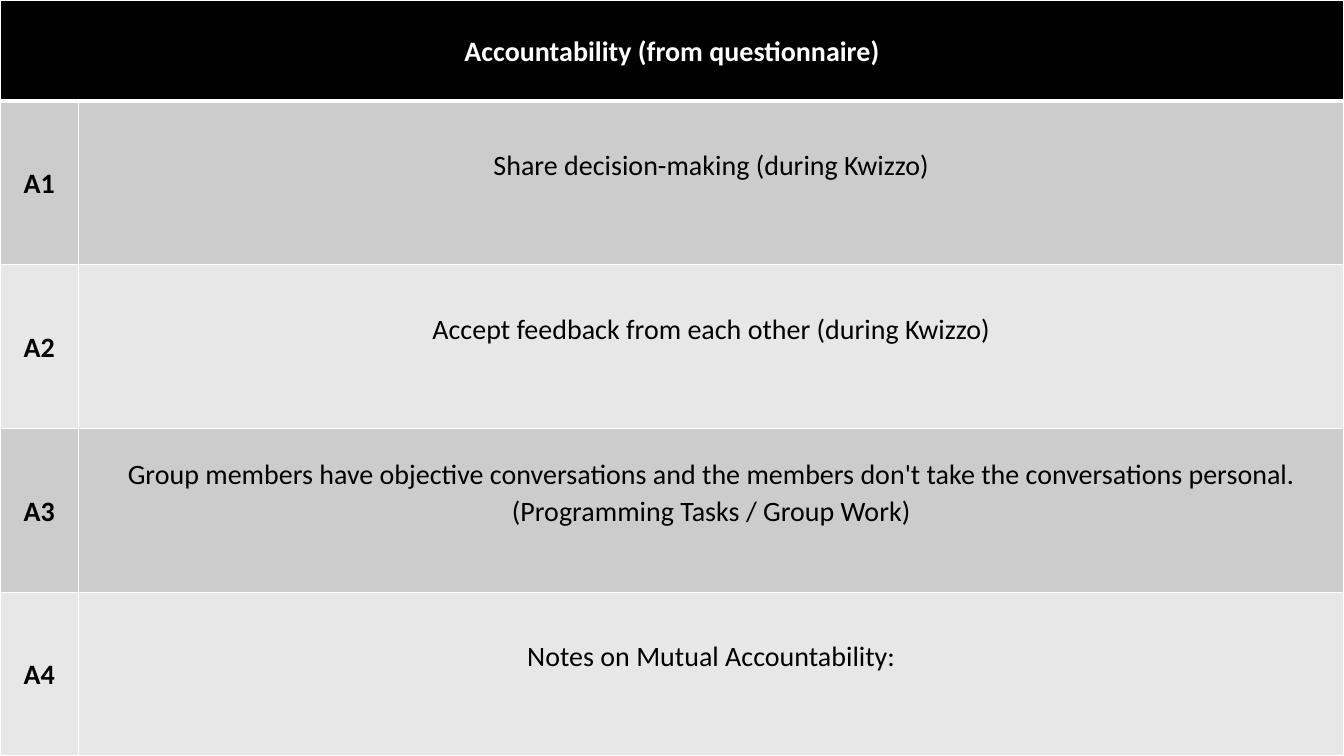
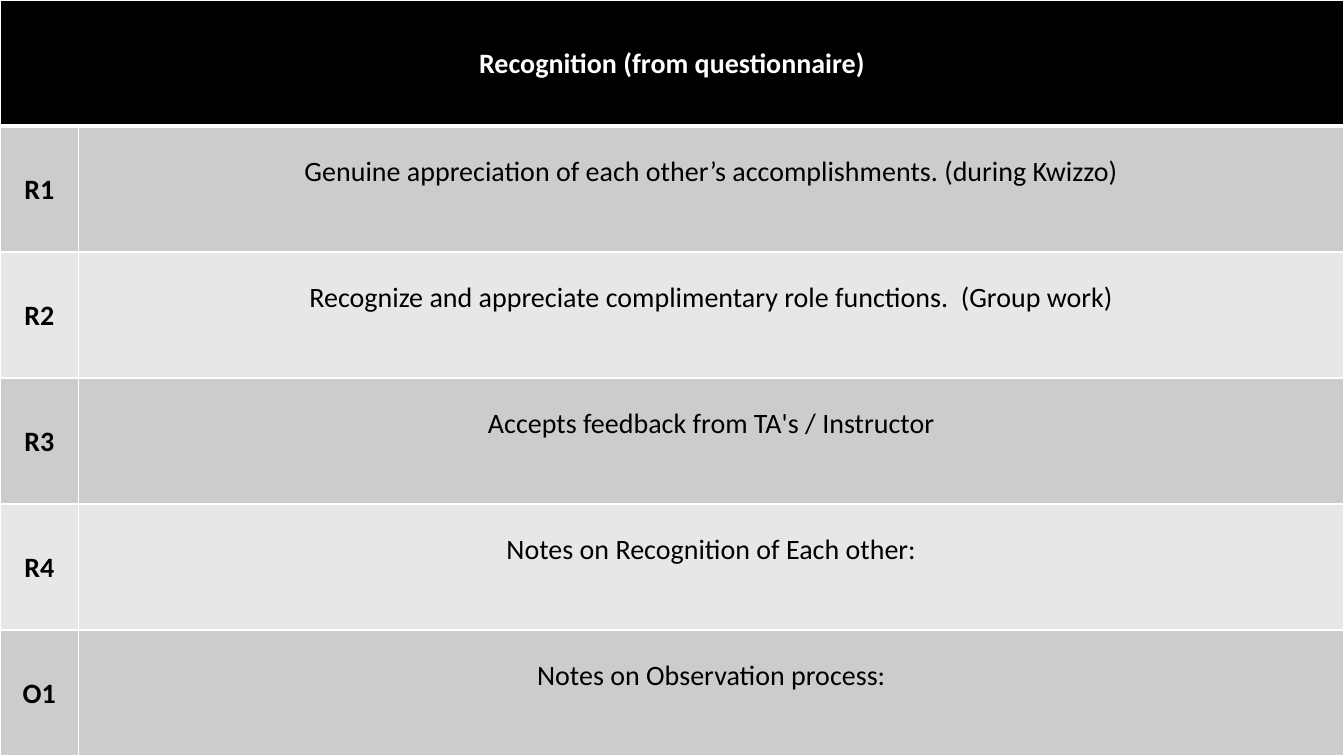
from lxml import etree
from pptx import Presentation
from pptx.dml.color import RGBColor
from pptx.enum.text import MSO_ANCHOR, PP_ALIGN
from pptx.oxml.ns import qn
from pptx.util import Cm, Pt

MIDDLE = MSO_ANCHOR.MIDDLE
CENTER = PP_ALIGN.CENTER

BLACK = RGBColor(0x00, 0x00, 0x00)
WHITE = RGBColor(0xFF, 0xFF, 0xFF)
BANDS = (RGBColor(0xCC, 0xCC, 0xCC), RGBColor(0xE7, 0xE7, 0xE7))

FONT = "Calibri"
TEXT_SIZE = Pt(20)
LINE_SPACING = 1.07
PAGE_WIDTH = Cm(33.87)
PAGE_HEIGHT = Cm(19.05)
CODE_WIDTH = Cm(1.98)
INSET = Cm(0.18)
ITEM_BOTTOM_INSET = Cm(1.09)
GRID_LINE = Pt(1)
HEADER_LINE = Pt(3)
BLANK_LAYOUT = 6

ACCOUNTABILITY = (
    ("A1", "Share decision-making (during Kwizzo)"),
    ("A2", "Accept feedback from each other (during Kwizzo)"),
    ("A3", "Group members have objective conversations and the members don't "
           "take the conversations personal. (Programming Tasks / Group Work)"),
    ("A4", "Notes on Mutual Accountability:"),
)
RECOGNITION = (
    ("R1", "Genuine appreciation of each other’s accomplishments. (during Kwizzo)"),
    ("R2", "Recognize and appreciate complimentary role functions.  (Group work)"),
    ("R3", "Accepts feedback from TA's / Instructor"),
    ("R4", "Notes on Recognition of Each other:"),
    ("O1", "Notes on Observation process:"),
)


def set_borders(cell, top=GRID_LINE, bottom=GRID_LINE):
    properties = cell._tc.get_or_add_tcPr()
    widths = (("a:lnL", GRID_LINE), ("a:lnR", GRID_LINE), ("a:lnT", top), ("a:lnB", bottom))
    for position, (tag, width) in enumerate(widths):
        line = etree.Element(qn(tag), w=str(int(width)))
        fill = etree.SubElement(line, qn("a:solidFill"))
        etree.SubElement(fill, qn("a:srgbClr"), val=str(WHITE))
        properties.insert(position, line)


def fill_cell(cell, text, fill, color=BLACK, bold=True, bottom_inset=INSET):
    cell.fill.solid()
    cell.fill.fore_color.rgb = fill
    cell.vertical_anchor = MIDDLE
    cell.margin_left = cell.margin_right = cell.margin_top = INSET
    cell.margin_bottom = bottom_inset
    cell.text_frame.text = text
    para = cell.text_frame.paragraphs[0]
    para.alignment = CENTER
    para.line_spacing = LINE_SPACING
    para.font.size = TEXT_SIZE
    for span in para.runs:
        span.font.name = FONT
        span.font.size = TEXT_SIZE
        span.font.bold = bold
        span.font.color.rgb = color


def add_questionnaire(page, heading, items, header_height, left, top, width, height):
    frame = page.shapes.add_table(len(items) + 1, 2, left, top, width, height)
    table = frame.table
    table.horz_banding = False
    table.columns[0].width = CODE_WIDTH
    table.columns[1].width = width - CODE_WIDTH
    table.rows[0].height = header_height
    item_height = (height - header_height) // len(items)

    for column in range(2):
        set_borders(table.cell(0, column), bottom=HEADER_LINE)
    table.cell(0, 0).merge(table.cell(0, 1))
    fill_cell(table.cell(0, 0), heading, BLACK, color=WHITE)

    for row, (code, item) in enumerate(items, start=1):
        table.rows[row].height = item_height
        band = BANDS[(row - 1) % 2]
        code_cell, item_cell = table.cell(row, 0), table.cell(row, 1)
        fill_cell(code_cell, code, band)
        fill_cell(item_cell, item, band, bold=False, bottom_inset=ITEM_BOTTOM_INSET)
        for cell in (code_cell, item_cell):
            set_borders(cell, top=HEADER_LINE if row == 1 else GRID_LINE)


def add_questionnaire_page(deck, heading, items, header_height):
    page = deck.slides.add_slide(deck.slide_layouts[BLANK_LAYOUT])
    page.background.fill.solid()
    page.background.fill.fore_color.rgb = BLACK
    add_questionnaire(page, heading, items, header_height, 0, 0, PAGE_WIDTH, PAGE_HEIGHT)


def main():
    deck = Presentation()
    deck.slide_width = PAGE_WIDTH
    deck.slide_height = PAGE_HEIGHT
    add_questionnaire_page(deck, "Accountability (from questionnaire)", ACCOUNTABILITY, Cm(2.54))
    add_questionnaire_page(deck, "Recognition (from questionnaire)", RECOGNITION, PAGE_HEIGHT // 6)
    deck.save("out.pptx")


if __name__ == "__main__":
    main()
